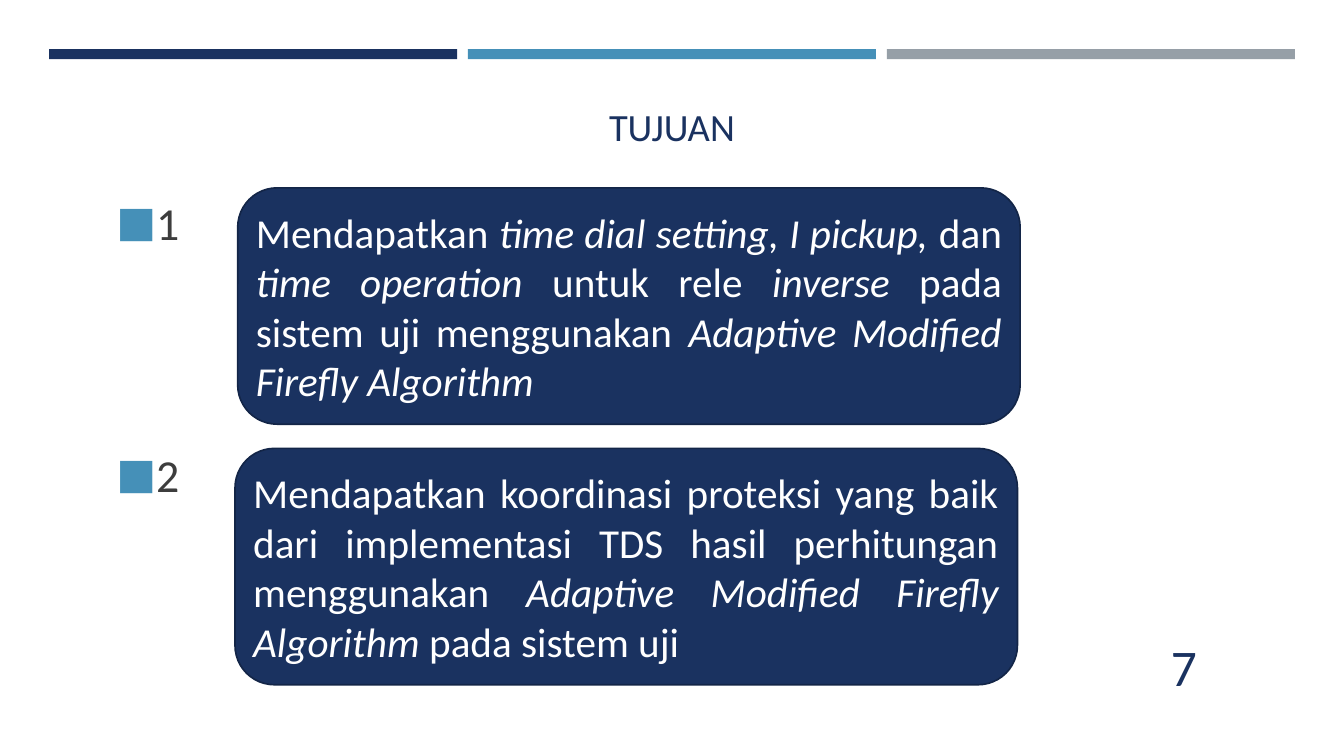
from lxml.etree import SubElement
from pptx import Presentation
from pptx.dml.color import RGBColor
from pptx.enum.shapes import MSO_SHAPE as SHAPE
from pptx.enum.text import MSO_ANCHOR as ANCHOR, PP_ALIGN as ALIGN
from pptx.oxml.ns import qn
from pptx.util import Pt

SCALE = 9144
FONT = "Calibri"
COLORS = {
    "navy": "1A3260", "edge": "132547", "blue": "4590B8",
    "grey": "969FA7", "text": "3D3D3D", "white": "FFFFFF",
}
GOALS = [
    ["Mendapatkan ", "time dial setting, I pickup, ", "dan ",
     "time operation ", "untuk rele ", "inverse",
     " pada sistem uji menggunakan ", "Adaptive Modified Firefly Algorithm"],
    ["Mendapatkan koordinasi proteksi yang baik dari implementasi TDS "
     "hasil perhitungan menggunakan ",
     "Adaptive Modified Firefly Algorithm", " pada sistem uji"],
]


def px(*lengths):
    """Turn px lengths into EMU."""
    return [n * SCALE for n in lengths]


def rgb(name):
    """Look up a named colour."""
    return RGBColor.from_string(COLORS[name])


def write(p, runs, size, color, align=ALIGN.LEFT):
    """Fill a paragraph with runs that alternate upright and italic."""
    p.alignment = align
    for i, text in enumerate(runs):
        r = p.add_run()
        r.text = text
        r.font.name = FONT
        r.font.size = Pt(size)
        r.font.italic = i % 2 == 1
        r.font.color.rgb = rgb(color)


def add_bullet(p, color, indent):
    """Give a paragraph a square bullet with a hanging indent."""
    pPr = p._p.get_or_add_pPr()
    hang = indent * SCALE
    pPr.set("marL", str(hang))
    pPr.set("indent", str(-hang))
    clr = SubElement(pPr, qn("a:buClr"))
    SubElement(clr, qn("a:srgbClr"), val=COLORS[color])
    SubElement(pPr, qn("a:buSzPct"), val="92000")
    SubElement(pPr, qn("a:buFont"), typeface=FONT)
    SubElement(pPr, qn("a:buChar"), char="■")


def add_box(s, kind, box, fill, line=None):
    """Add a filled shape without shadow."""
    sp = s.shapes.add_shape(kind, *px(*box))
    sp.shadow.inherit = False
    sp.fill.solid()
    sp.fill.fore_color.rgb = rgb(fill)
    if line:
        sp.line.color.rgb = rgb(line)
        sp.line.width = Pt(1.75)
    else:
        sp.line.fill.background()
    return sp


def add_frame(s, box, inset, anchor=ANCHOR.TOP):
    """Add a wrapping text box and return its text frame."""
    tf = s.shapes.add_textbox(*px(*box)).text_frame
    tf.word_wrap = True
    tf.vertical_anchor = anchor
    tf.margin_left = tf.margin_right = px(10)[0]
    tf.margin_top = tf.margin_bottom = px(inset)[0]
    return tf


def draw_bars(s, box, gap):
    """Divide the box into three coloured bars."""
    x, y, w, h = box
    names = ["navy", "blue", "grey"]
    bar = (w - gap * (len(names) - 1)) // len(names)
    for i, name in enumerate(names):
        add_box(s, SHAPE.RECTANGLE, (x + i * (bar + gap), y, bar, h), name)


def draw_title(s, box):
    """Place the heading at the foot of its box."""
    tf = add_frame(s, box, 10, ANCHOR.BOTTOM)
    write(tf.paragraphs[0], ["TUJUAN"], 41.2, "navy", ALIGN.CENTER)


def draw_numbers(s, box):
    """List the goal numbers, one beside each card."""
    tf = add_frame(s, box, 10)
    for i in range(len(GOALS)):
        p = tf.add_paragraph() if i else tf.paragraphs[0]
        write(p, [str(i + 1)], 49, "text")
        p.space_before = Pt(202 if i else 0)
        p.space_after = Pt(8.8)
        add_bullet(p, "blue", 49)


def draw_goals(s, box, step, shift):
    """Stack the goal cards, each shifted from the one above."""
    x, y, w, h = box
    for i, runs in enumerate(GOALS):
        place = (x + i * shift, y + i * step, w, h)
        sp = add_box(s, SHAPE.ROUNDED_RECTANGLE, place, "navy", "edge")
        tf = sp.text_frame
        tf.word_wrap = True
        tf.vertical_anchor = ANCHOR.MIDDLE
        write(tf.paragraphs[0], runs, 44, "white", ALIGN.JUSTIFY)


def draw_page_number(s, box):
    """Place the page number."""
    write(add_frame(s, box, 5).paragraphs[0], ["7"], 54.9, "navy")


def main():
    """Build the slide and save it."""
    prs = Presentation()
    prs.slide_width, prs.slide_height = px(1996, 1102)
    s = prs.slides.add_slide(prs.slide_layouts[6])
    draw_bars(s, (73, 73, 1850, 15), 16)
    draw_title(s, (340, 48, 1316, 184))
    draw_numbers(s, (163, 279, 1340, 774))
    draw_goals(s, (353, 279, 1162, 351), 387, -4)
    draw_page_number(s, (1729, 938, 166, 59))
    prs.save("out.pptx")


if __name__ == "__main__":
    main()
